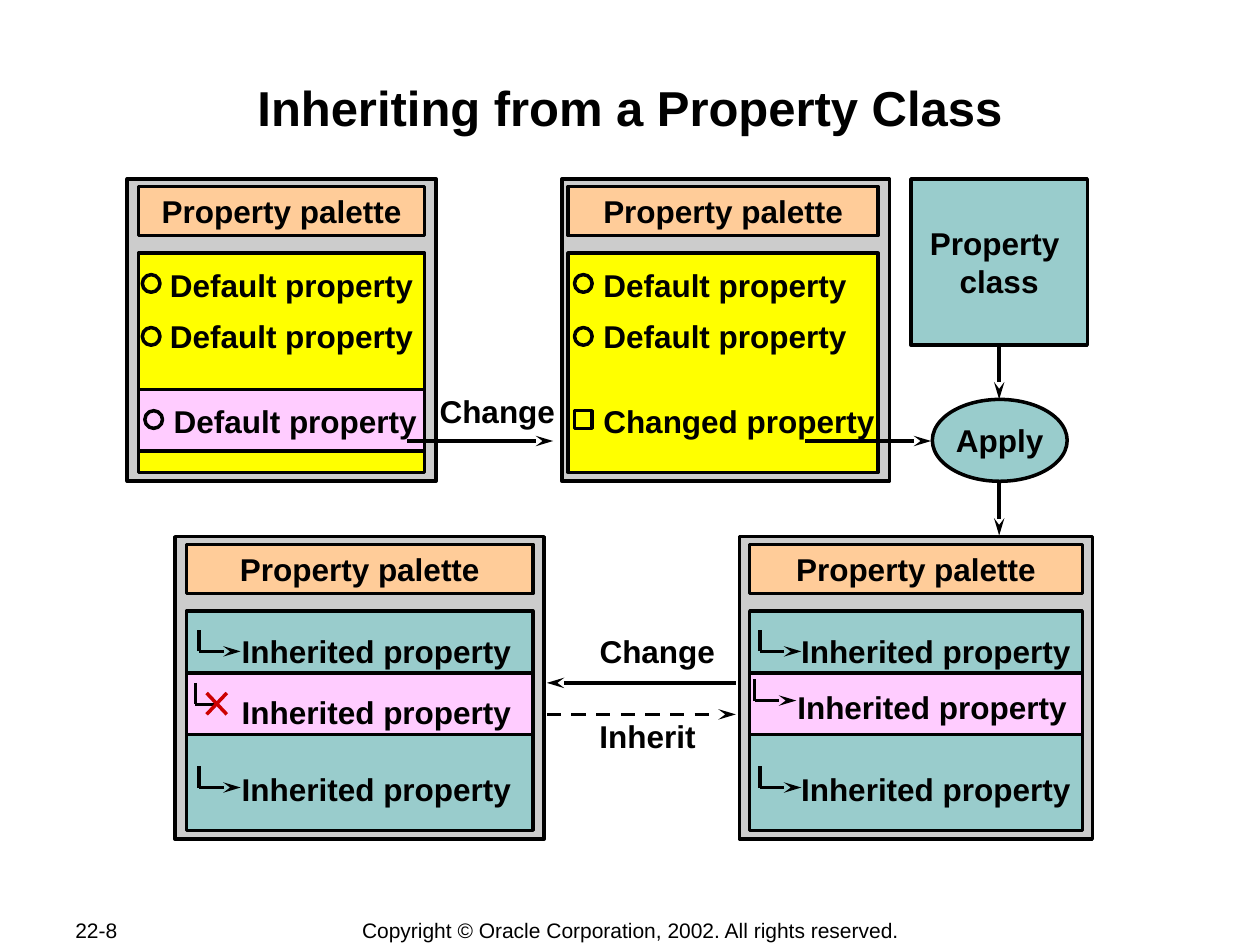
from lxml.etree import SubElement
from pptx import Presentation
from pptx.dml.color import RGBColor
from pptx.enum.dml import MSO_LINE
from pptx.enum.shapes import MSO_CONNECTOR, MSO_SHAPE
from pptx.enum.text import MSO_ANCHOR, PP_ALIGN
from pptx.oxml.ns import qn
from pptx.util import Inches, Pt

BLACK, GREY, PEACH, YELLOW = "000000", "CCCCCC", "FFCC99", "FFFF00"
PINK, TEAL, RED = "FFCCFF", "99CCCC", "CC0000"
LABEL = {"name": "Arial", "size": Pt(18), "bold": True}
TITLE = {"name": "Arial", "size": Pt(28), "bold": True}
FOOTER = {"name": "Arial", "size": Pt(12), "bold": False}
HEADER = "Property palette"
DEFAULT, CHANGED, INHERITED = "Default property", "Changed property", "Inherited property"

PANELS = [
    {"frame": (1.01, 1.42, 2.45), "inner": (1.1, 2.27), "fill": YELLOW, "band": 3.09,
     "rows": [("circle", 1.13, 2.18, DEFAULT, 1.25, 2.06),
              ("circle", 1.13, 2.6, DEFAULT, 1.25, 2.47),
              ("circle", 1.15, 3.26, DEFAULT, 1.28, 3.14)]},
    {"frame": (4.46, 1.42, 2.6), "inner": (4.51, 2.46), "fill": YELLOW, "band": None,
     "rows": [("circle", 4.56, 2.18, DEFAULT, 4.69, 2.06),
              ("circle", 4.56, 2.6, DEFAULT, 4.69, 2.47),
              ("square", 4.56, 3.26, CHANGED, 4.69, 3.14)]},
    {"frame": (5.87, 4.26, 2.8), "inner": (5.95, 2.64), "fill": TEAL, "band": 5.34,
     "rows": [("elbow", 6.03, 5, INHERITED, 6.26, 4.97),
              ("elbow", 5.99, 5.39, INHERITED, 6.23, 5.41),
              ("elbow", 6.03, 6.08, INHERITED, 6.26, 6.06)]},
    {"frame": (1.39, 4.26, 2.93), "inner": (1.48, 2.75), "fill": TEAL, "band": 5.34,
     "rows": [("elbow", 1.58, 5, INHERITED, 1.82, 4.97),
              ("broken", 1.55, 5.42, INHERITED, 1.82, 5.45),
              ("elbow", 1.58, 6.08, INHERITED, 1.82, 6.06)]},
]
TEXT_WIDTHS = {DEFAULT: 2.13, CHANGED: 2.36, INHERITED: 2.34}
STEP_LABELS = [("Change", 3.39, 3.06, 1.12), ("Change", 4.66, 4.97, 1.12),
               ("Inherit", 4.66, 5.64, 0.97)]
ARROWS = [
    ((3.23, 3.5), (4.39, 3.5), False),
    ((6.39, 3.5), (7.39, 3.5), False),
    ((7.93, 2.67), (7.93, 3.17), False),
    ((7.93, 3.75), (7.93, 4.25), False),
    ((5.84, 5.42), (4.34, 5.42), False),
    ((4.34, 5.67), (5.84, 5.67), True),
]
NODES = [
    ("Property \vclass", MSO_SHAPE.RECTANGLE, (7.23, 1.42, 1.4, 1.32)),
    ("Apply", MSO_SHAPE.OVAL, (7.4, 3.17, 1.07, 0.65)),
]

deck = Presentation()
deck.slide_width, deck.slide_height = Inches(10), Inches(7.5)
page = deck.slides.add_slide(deck.slide_layouts[6])


def color(value):
    return RGBColor.from_string(value)


def write(box, text, style=LABEL, align=PP_ALIGN.CENTER):
    frame = box.text_frame
    frame.word_wrap = False
    frame.vertical_anchor = MSO_ANCHOR.MIDDLE
    frame.text = text
    for para in frame.paragraphs:
        para.alignment = align
        for name, value in style.items():
            setattr(para.font, name, value)
        para.font.color.rgb = color(BLACK)


def add_text(text, area, style=LABEL, align=PP_ALIGN.LEFT):
    box = page.shapes.add_textbox(*map(Inches, area))
    write(box, text, style, align)


def add_block(area, fill=None, text=None, kind=MSO_SHAPE.RECTANGLE):
    shape = page.shapes.add_shape(kind, *map(Inches, area))
    shape.shadow.inherit = False
    if fill:
        shape.fill.solid()
        shape.fill.fore_color.rgb = color(fill)
    else:
        shape.fill.background()
    shape.line.color.rgb = color(BLACK)
    shape.line.width = Pt(2)
    if text:
        write(shape, text)


def add_line(start, end, arrow=False, dashed=False, ink=BLACK):
    line = page.shapes.add_connector(MSO_CONNECTOR.STRAIGHT, *map(Inches, start + end))
    line.line.color.rgb = color(ink)
    line.line.width = Pt(2)
    if dashed:
        line.line.dash_style = MSO_LINE.DASH
    properties = line._element.spPr
    if arrow:
        SubElement(properties.find(qn("a:ln")), qn("a:tailEnd"),
                   type="stealth", w="med", len="lg")
    SubElement(properties, qn("a:effectLst"))


def add_marker(kind, left, top):
    if kind in ("circle", "square"):
        outline = MSO_SHAPE.OVAL if kind == "circle" else MSO_SHAPE.RECTANGLE
        add_block((left, top, 0.14, 0.14), kind=outline)
        return
    corner = (left, top + 0.17)
    add_line((left, top), corner)
    if kind == "elbow":
        add_line(corner, (left + 0.33, top + 0.17), arrow=True)
        return
    add_line(corner, (left + 0.17, top + 0.17))
    near, far, high, low = left + 0.09, left + 0.25, top + 0.08, top + 0.25
    add_line((near, high), (far, low), ink=RED)
    add_line((far, high), (near, low), ink=RED)


add_text("22-8", (0.5, 7.28, 1.06, 0.2), FOOTER)
add_text("Copyright © Oracle Corporation, 2002. All rights reserved.",
         (2.76, 7.28, 4.49, 0.21), FOOTER, PP_ALIGN.CENTER)
add_text("Inheriting from a Property Class", (1, 0.58, 8, 0.54), TITLE, PP_ALIGN.CENTER)

for panel in PANELS:
    left, top, width = panel["frame"]
    inner_left, inner_width = panel["inner"]
    add_block((left, top, width, 2.4), GREY)
    add_block((inner_left, top + 0.06, inner_width, 0.39), PEACH, HEADER)
    add_block((inner_left, top + 0.59, inner_width, 1.74), panel["fill"])
    if panel["band"]:
        add_block((inner_left, panel["band"], inner_width, 0.49), PINK)
    for marker, marker_left, marker_top, text, text_left, text_top in panel["rows"]:
        add_marker(marker, marker_left, marker_top)
        add_text(text, (text_left, text_top, TEXT_WIDTHS[text], 0.4))

for text, *area in STEP_LABELS:
    add_text(text, (*area, 0.4))
for start, end, dashed in ARROWS:
    add_line(start, end, arrow=True, dashed=dashed)
for text, kind, area in NODES:
    add_block(area, TEAL, text, kind)

deck.save("out.pptx")
